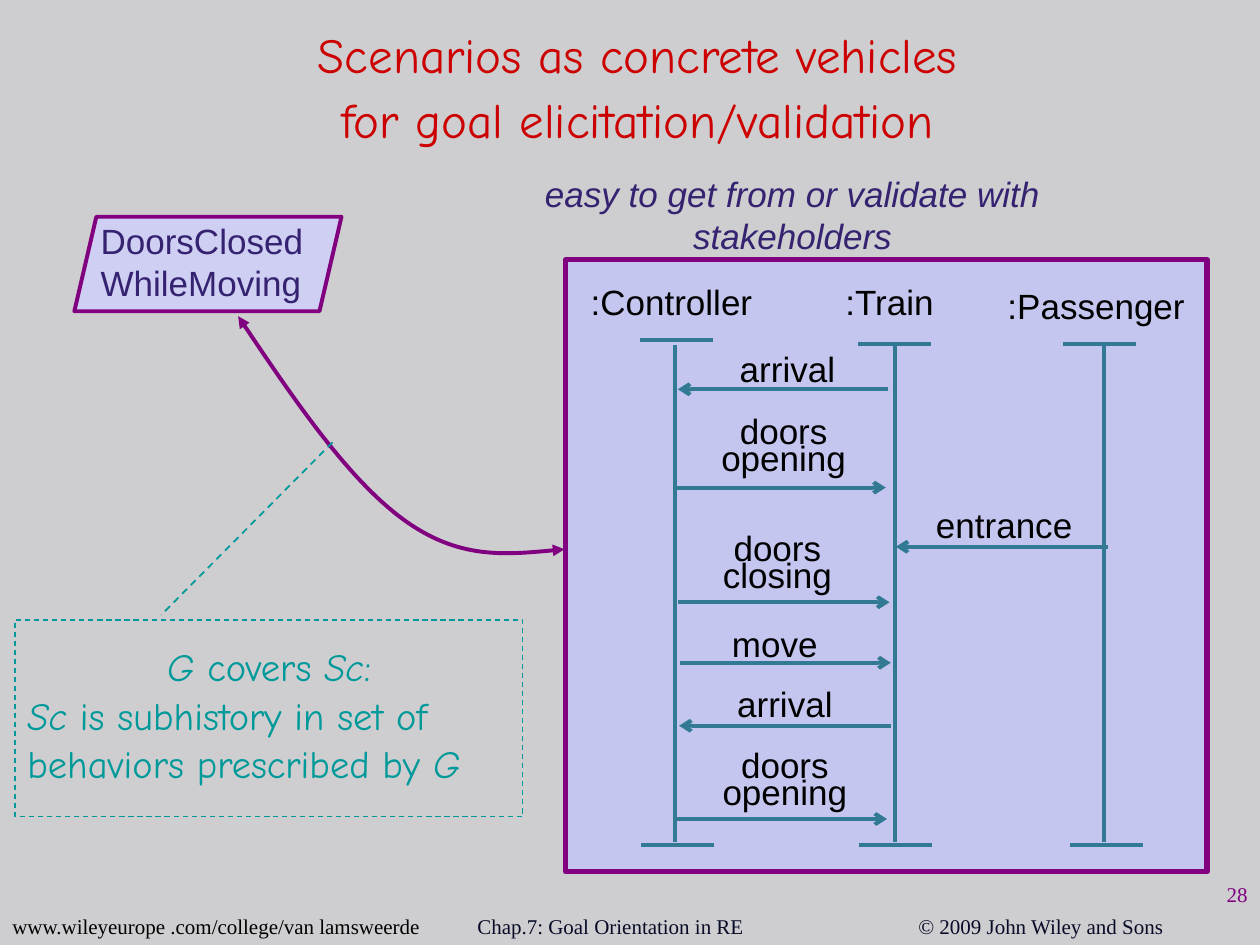
import pptx
import pptx.util
import pptx.dml.color
import pptx.enum.dml
import pptx.enum.shapes
import pptx.enum.text
import pptx.oxml
import pptx.oxml.ns
from lxml import etree

Inches = pptx.util.Inches
Pt = pptx.util.Pt
RGB = pptx.dml.color.RGBColor.from_string
Align = pptx.enum.text.PP_ALIGN
Anchor = pptx.enum.text.MSO_ANCHOR
Shape = pptx.enum.shapes.MSO_SHAPE
Dash = pptx.enum.dml.MSO_LINE.DASH
qn = pptx.oxml.ns.qn

hues = {
    "page": "CECED0", "panel": "C5C6EF", "goal": "CECFF2", "purple": "800080",
    "steel": "327A94", "teal": "009999", "red": "CC0000", "indigo": "352270",
    "navy": "070B26", "black": "000000",
}

deck = pptx.Presentation()
deck.slide_width, deck.slide_height = Inches(10), Inches(7.5)
slide = deck.slides.add_slide(deck.slide_layouts[6])
slide.background.fill.solid()
slide.background.fill.fore_color.rgb = RGB(hues["page"])


def write(place, lines, hue="black", size=20, font="Arial", align=Align.CENTER,
          anchor=Anchor.MIDDLE, wrap=False):
    box = slide.shapes.add_textbox(*map(Inches, place))
    frame = box.text_frame
    frame.word_wrap = wrap
    frame.vertical_anchor = anchor
    frame.text = "\n".join(lines)
    for par in frame.paragraphs:
        par.alignment = align
        par.font.size = Pt(size)
        par.font.name = font
        par.font.color.rgb = RGB(hues[hue])
    return frame.paragraphs


def draw(start, end, hue="steel", width=2.25, arrow=False):
    line = slide.shapes.add_connector(
        pptx.enum.shapes.MSO_CONNECTOR.STRAIGHT, *map(Inches, start + end))
    line.line.color.rgb = RGB(hues[hue])
    line.line.width = Pt(width)
    if arrow:
        etree.SubElement(line.line._get_or_add_ln(), qn("a:tailEnd"), type="arrow")
    etree.SubElement(line._element.spPr, qn("a:effectLst"))
    return line


page = write((9.4, 6.91, 0.6, 0.4), ["28"], "purple", 12, "Times New Roman",
             Align.RIGHT, Anchor.TOP, True)
page[0].line_spacing = 1.2

foot = write((0, 7.2, 9.97, 0.3), [""], "navy", 12, "Times New Roman",
             Align.LEFT, Anchor.TOP, True)[0]
tabs = etree.Element(qn("a:tabLst"))
for stop in (3.69, 7.19):
    etree.SubElement(tabs, qn("a:tab"), pos=str(Inches(stop)), algn="l")
foot._p.get_or_add_pPr().insert(0, tabs)
site = foot.add_run()
site.text = "www.wileyeurope .com/college/van lamsweerde"
site.font.color.rgb = RGB(hues["black"])
foot.add_run().text = "\tChap.7: Goal Orientation in RE\t© 2009 John Wiley and Sons"

panel = slide.shapes.add_shape(Shape.RECTANGLE, *map(Inches, (4.49, 2.06, 5.09, 4.86)))
goal = slide.shapes.add_shape(Shape.PARALLELOGRAM, *map(Inches, (0.59, 1.72, 2.12, 0.75)))
goal.adjustments[0] = 0.233
for shape, hue, width in ((panel, "panel", 3), (goal, "goal", 2.25)):
    shape.shadow.inherit = False
    shape.fill.solid()
    shape.fill.fore_color.rgb = RGB(hues[hue])
    shape.line.color.rgb = RGB(hues["purple"])
    shape.line.width = Pt(width)

actors = [
    (":Controller", (4.43, 2.18, 1.8, 0.43), 5.36, (5.08, 2.7), (5.09, 6.71)),
    (":Train", (6.51, 2.18, 1.1, 0.43), 7.1, (6.81, 2.73), (6.82, 6.71)),
    (":Passenger", (7.8, 2.21, 1.8, 0.43), 8.76, (8.44, 2.73), (8.49, 6.71)),
]
for name, place, x, top, foot_end in actors:
    write(place, [name])
    draw((x, 2.74), (x, 6.68))
    for left, y in (top, foot_end):
        draw((left, y), (left + 0.58, y))

calls = [
    (["arrival"], (5.65, 2.71, 1.2, 0.43), 7.05, 5.38, 3.09),
    (["doors", "opening"], (5.52, 3.2, 1.4, 0.63), 5.35, 7.03, 3.87),
    (["entrance"], (7.22, 3.95, 1.5, 0.43), 8.79, 7.11, 4.34),
    (["doors", "closing"], (5.47, 4.13, 1.4, 0.63), 5.38, 7.06, 4.78),
    (["move"], (5.55, 4.89, 1.2, 0.43), 5.4, 7.07, 5.26),
    (["arrival"], (5.63, 5.37, 1.2, 0.43), 7.07, 5.39, 5.76),
    (["doors", "opening"], (5.53, 5.85, 1.4, 0.63), 5.37, 7.04, 6.5),
]
for words, place, start, end, y in calls:
    draw((start, y), (end, y), arrow=True)
    for par in write(place, words)[1:]:
        par.line_spacing = 0.6

title = write((0.33, 0.25, 9.46, 0.83),
              ["Scenarios as concrete vehicles\vfor goal elicitation/validation"],
              "red", 28, "Comic Neue", wrap=True)
title[0].line_spacing = 1.1

note = slide.shapes.add_shape(Shape.RECTANGLE, *map(Inches, (0.12, 4.92, 4.03, 1.56)))
note.shadow.inherit = False
note.fill.background()
note.line.color.rgb = RGB(hues["teal"])
note.line.width = Pt(0.75)
note.line.dash_style = Dash
frame = note.text_frame
frame.word_wrap = True
frame.vertical_anchor = Anchor.MIDDLE
rows = [
    (Align.CENTER, 0.8, [("G ", True), ("covers ", False), ("Sc", True), (":", False)]),
    (Align.LEFT, 0.7, [("Sc", True), (" is subhistory in set of", False)]),
    (Align.LEFT, 0.7, [("behaviors prescribed by", False), (" G", True)]),
]
for i, (align, space, runs) in enumerate(rows):
    par = frame.add_paragraph() if i else frame.paragraphs[0]
    par.alignment = align
    par.line_spacing = space
    if i:
        par.space_before = Pt(9)
    par.font.size = Pt(22)
    par.font.name = "Comic Neue"
    par.font.color.rgb = RGB(hues["teal"])
    for words, slant in runs:
        run = par.add_run()
        run.text = words
        run.font.italic = slant

knots = [(2.33, 3.17), (2.78, 3.82), (3.21, 4.13), (3.64, 4.44), (4.06, 4.4), (4.48, 4.36)]
form = slide.shapes.build_freeform(Inches(1.89), Inches(2.51))
form.add_line_segments([(Inches(x), Inches(y)) for x, y in knots], close=False)
curve = form.convert_to_shape()
curve.shadow.inherit = False
curve.fill.background()
curve.line.color.rgb = RGB(hues["purple"])
curve.line.width = Pt(2.25)
legs = curve._element.xpath(".//a:lnTo")
for i in range(0, len(legs), 3):
    bend = etree.Element(qn("a:cubicBezTo"))
    legs[i].addprevious(bend)
    for leg in legs[i:i + 3]:
        bend.append(leg[0])
        leg.getparent().remove(leg)
for end in ("a:headEnd", "a:tailEnd"):
    etree.SubElement(curve.line._get_or_add_ln(), qn(end), type="triangle")

write((0.7, 1.69, 2, 0.75), ["DoorsClosed", "WhileMoving"], "indigo",
      align=Align.LEFT, anchor=Anchor.TOP, wrap=True)
draw((2.64, 3.51), (1.28, 4.88), "teal", 1).line.dash_style = Dash
hint = write((4.09, 1.33, 4.4, 0.75), ["easy to get from or validate with stakeholders"],
             "indigo", wrap=True)
hint[0].font.italic = True

deck.save("out.pptx")
